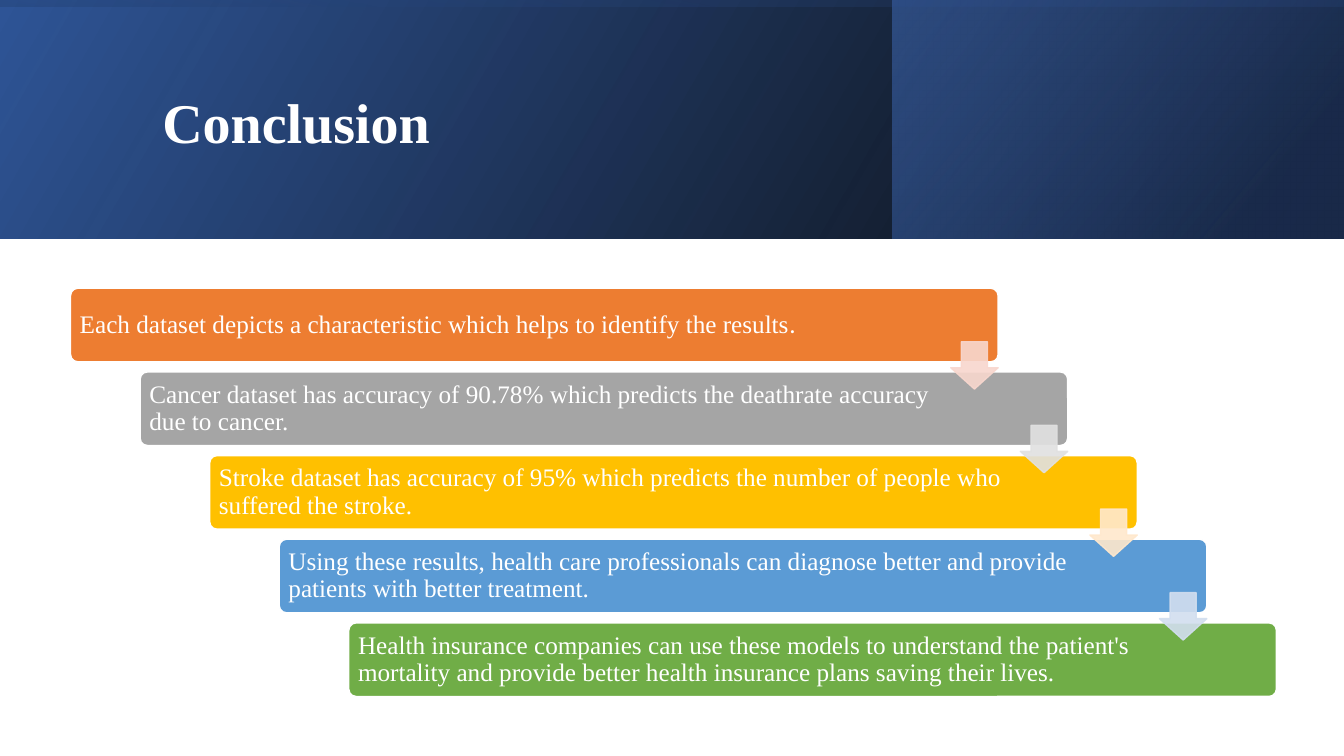
from lxml import etree
from pptx import Presentation
from pptx.dml.color import RGBColor
from pptx.enum.shapes import MSO_SHAPE as Shape
from pptx.enum.text import MSO_ANCHOR as Anchor, PP_ALIGN as Align
from pptx.oxml import parse_xml
from pptx.oxml.ns import nsdecls, qn
from pptx.util import Inches, Pt

WHITE = RGBColor(0xFF, 0xFF, 0xFF)
BLACK = RGBColor(0x00, 0x00, 0x00)
NAVY = RGBColor(0x20, 0x38, 0x64)
DEEP_BLUE = RGBColor(0x2F, 0x55, 0x97)
BLUE = RGBColor(0x44, 0x72, 0xC4)
ORANGE = RGBColor(0xED, 0x7D, 0x31)
GRAY = RGBColor(0xA5, 0xA5, 0xA5)
GOLD = RGBColor(0xFF, 0xC0, 0x00)
SKY = RGBColor(0x5B, 0x9B, 0xD5)
GREEN = RGBColor(0x70, 0xAD, 0x47)
PALE_ORANGE = RGBColor(0xF8, 0xD7, 0xCE)
PALE_GRAY = RGBColor(0xE1, 0xE1, 0xE1)
PALE_GOLD = RGBColor(0xFF, 0xE8, 0xCC)
PALE_SKY = RGBColor(0xD2, 0xDE, 0xEF)

SERIF, SANS = "Times New Roman", "Calibri"
TITLE = "Conclusion"
STEPS = [
    (ORANGE, PALE_ORANGE, [
        ("Each dataset depicts a characteristic which helps to identify the results", SERIF),
        (".", SANS)]),
    (GRAY, PALE_GRAY, [
        ("Cancer dataset has accuracy of 90.78% which predicts the deathrate "
         "accuracy due to cancer.", SERIF)]),
    (GOLD, PALE_GOLD, [
        ("Stroke dataset has accuracy of 95% which predicts the number of people "
         "who suffered the stroke.", SERIF)]),
    (SKY, PALE_SKY, [
        ("Using these results, health care professionals can diagnose better and "
         "provide patients with better treatment.", SERIF)]),
    (GREEN, None, [
        ("Health insurance companies can use these models to understand the "
         "patient's mortality and provide better health insurance plans saving "
         "their lives.", SERIF)]),
]

WIDTH, HEIGHT = 13.33, 7.5
BAND = 2.37
SIDE = 4.48
STEP_LEFT, STEP_TOP, STEP_WIDTH, STEP_HEIGHT = 0.7, 2.86, 9.2, 0.73
SHIFT, PITCH = 0.69, 0.83
ARROW, ARROW_DROP = 0.47, 0.53
PAD, ARROW_ROOM = 0.07, 1.23

BANDS = [
    ((0, 0, WIDTH, BAND), 0, 330, [(0, BLACK, 96), (100, DEEP_BLUE, 100)]),
    ((WIDTH - SIDE, 0, SIDE, BAND), 0, 320, [(19, NAVY, 68), (100, BLUE, 48)]),
    (((WIDTH - BAND) / 2, (BAND - WIDTH) / 2, BAND, WIDTH), 270, 350,
     [(23, DEEP_BLUE, 16), (99, BLACK, 45)]),
]


def add_shape(page, kind, place):
    shape = page.shapes.add_shape(kind, *[Inches(length) for length in place])
    shape.shadow.inherit = False
    return shape


def add_band(page, place, rotation, angle, stops):
    band = add_shape(page, Shape.RECTANGLE, place)
    band.rotation = rotation
    band.line.fill.background()
    properties = band._element.spPr
    properties.find(qn("a:xfrm")).set("flipH", "1")
    stop_list = "".join(
        f'<a:gs pos="{position * 1000}"><a:srgbClr val="{color}">'
        f'<a:alpha val="{alpha * 1000}"/></a:srgbClr></a:gs>'
        for position, color, alpha in stops)
    properties.find(qn("a:prstGeom")).addnext(parse_xml(
        f'<a:gradFill {nsdecls("a")} rotWithShape="1"><a:gsLst>{stop_list}</a:gsLst>'
        f'<a:lin ang="{angle * 60000}" scaled="0"/></a:gradFill>'))


def paint(shape, fill, line):
    shape.fill.solid()
    shape.fill.fore_color.rgb = fill
    shape.line.color.rgb = line
    shape.line.width = Pt(1)


def write(para, text, font, size, bold=False):
    span = para.add_run()
    span.text = text
    span.font.name = font
    span.font.size = Pt(size)
    span.font.bold = bold
    span.font.color.rgb = WHITE


def add_title(page):
    title = page.shapes.title
    title.left, title.top = Inches(1.51), Inches(0.38)
    title.width, title.height = Inches(10.63), Inches(1.72)
    title.text_frame.vertical_anchor = Anchor.MIDDLE
    para = title.text_frame.paragraphs[0]
    para.alignment = Align.LEFT
    para.line_spacing = 0.9
    write(para, TITLE, SERIF, 40, True)
    page.shapes._spTree.append(title._element)


def add_step(page, index, color, spans):
    place = (STEP_LEFT + index * SHIFT, STEP_TOP + index * PITCH, STEP_WIDTH, STEP_HEIGHT)
    box = add_shape(page, Shape.ROUNDED_RECTANGLE, place)
    box.adjustments[0] = 0.1
    paint(box, color, WHITE)
    frame = box.text_frame
    frame.word_wrap = True
    frame.vertical_anchor = Anchor.MIDDLE
    frame.margin_left = frame.margin_top = frame.margin_bottom = Inches(PAD)
    frame.margin_right = Inches(ARROW_ROOM)
    para = frame.paragraphs[0]
    para.alignment = Align.LEFT
    para.line_spacing = 0.9
    for text, font in spans:
        write(para, text, font, 18)


def add_arrow(page, index, color):
    left = STEP_LEFT + index * SHIFT + STEP_WIDTH - ARROW
    top = STEP_TOP + index * PITCH + ARROW_DROP
    arrow = add_shape(page, Shape.DOWN_ARROW, (left, top, ARROW, ARROW))
    arrow.adjustments[0], arrow.adjustments[1] = 0.55, 0.45
    paint(arrow, color, color)
    for tint in arrow._element.spPr.iter(qn("a:srgbClr")):
        etree.SubElement(tint, qn("a:alpha")).set("val", "90000")


def main():
    deck = Presentation()
    deck.slide_width, deck.slide_height = Inches(WIDTH), Inches(HEIGHT)
    page = deck.slides.add_slide(deck.slide_layouts.get_by_name("Title Only"))
    for band in BANDS:
        add_band(page, *band)
    add_title(page)
    for index, (color, _, spans) in enumerate(STEPS):
        add_step(page, index, color, spans)
    for index, (_, pale, _) in enumerate(STEPS[:-1]):
        add_arrow(page, index, pale)
    deck.save("out.pptx")


if __name__ == "__main__":
    main()
